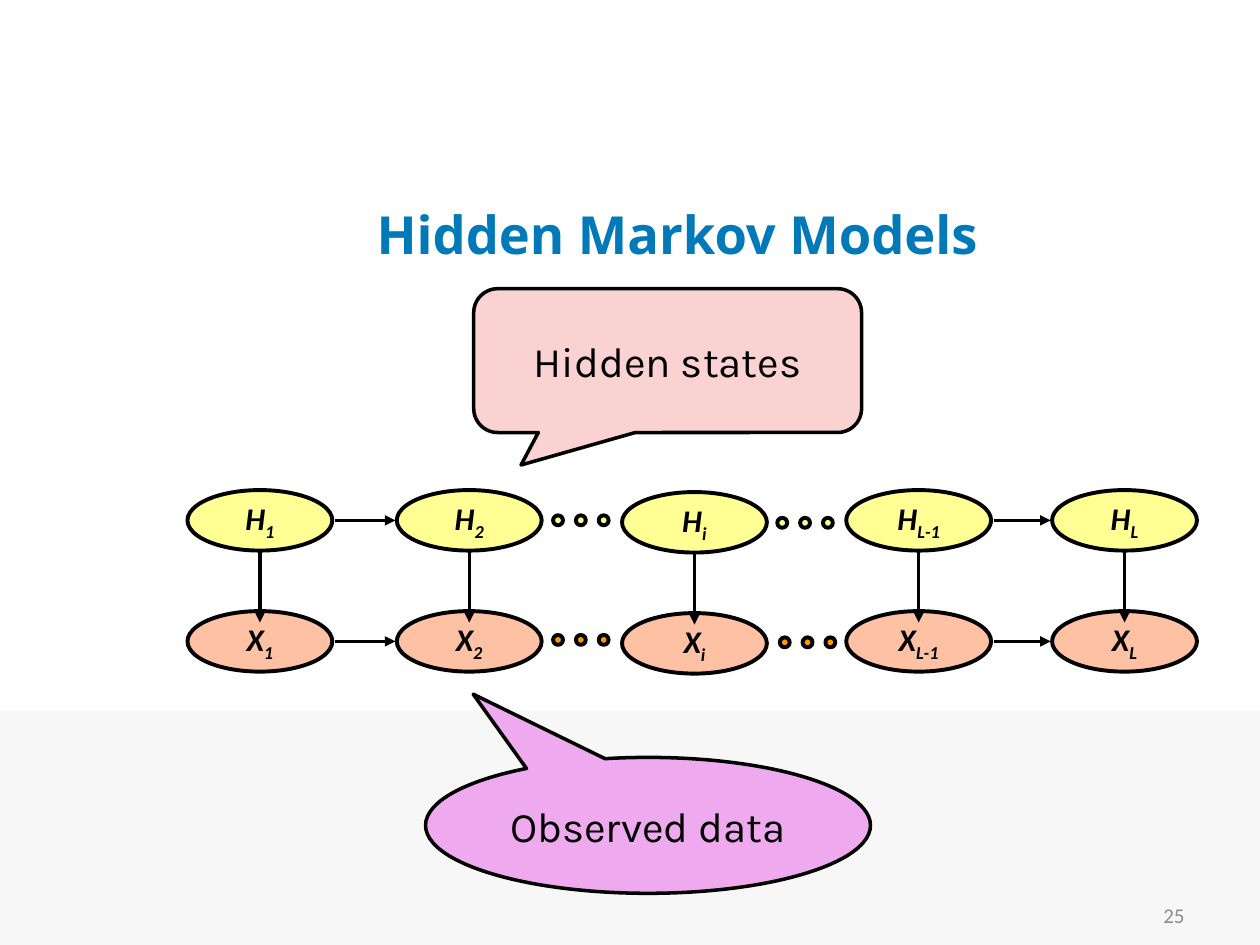
from dataclasses import dataclass

from lxml.etree import SubElement
from pptx import Presentation
from pptx.dml.color import RGBColor
from pptx.enum.shapes import MSO_CONNECTOR as CONN, MSO_SHAPE as SHAPE
from pptx.enum.text import MSO_ANCHOR as ANCHOR, PP_ALIGN as ALIGN
from pptx.oxml.ns import qn
from pptx.util import Cm, Pt


@dataclass(frozen=True)
class Theme:
    title: str = "0079B8"
    band: str = "F7F7F7"
    ink: str = "000000"
    number: str = "8C8C8C"
    hidden: str = "FFFF66"
    observed: str = "FF9966"
    observed_dot: str = "FF9900"
    hidden_note: str = "FAD2D2"
    observed_note: str = "EFA9EF"
    title_font: str = "Open Sans"
    node_font: str = "Calibri"
    note_font: str = "Karla"
    title_size: int = 30
    note_size: int = 24
    node_size: int = 18
    number_size: int = 12
    node_line: float = 2.25
    line: float = 2


@dataclass(frozen=True)
class Box:
    left: float
    top: float
    width: float
    height: float

    def emu(self):
        return [Cm(v) for v in (self.left, self.top, self.width, self.height)]


T = Theme()
NODE_W, NODE_H = 2.92, 1.22
DOT, DOT_STEP = 0.2, 0.46
# State index -> (left offset, top offset) of its node inside a chain
STATES = {"1": (0, 0), "2": (4.22, 0), "i": (8.76, 0.04),
          "L-1": (13.28, 0), "L": (17.43, 0)}
LINKS = [("1", "2"), ("L-1", "L")]


def style_font(font, name, size, color, bold=False, italic=False):
    font.name, font.size = name, Pt(size)
    font.bold, font.italic = bold, italic
    font.color.rgb = RGBColor.from_string(color)


def add_shape(slide, kind, box, fill, line=None, alpha=100):
    s = slide.shapes.add_shape(kind, *box.emu())
    s.shadow.inherit = False
    s.fill.solid()
    s.fill.fore_color.rgb = RGBColor.from_string(fill)
    if alpha < 100:
        color = s.fill._xPr.find(".//" + qn("a:srgbClr"))
        SubElement(color, qn("a:alpha"), val=str(alpha * 1000))
    if line:
        s.line.color.rgb = RGBColor.from_string(T.ink)
        s.line.width = Pt(line)
    else:
        s.line.fill.background()
    return s


def add_arrow(slide, x1, y1, x2, y2):
    c = slide.shapes.add_connector(CONN.STRAIGHT, Cm(x1), Cm(y1), Cm(x2), Cm(y2))
    c.line.color.rgb = RGBColor.from_string(T.ink)
    c.line.width = Pt(T.line)
    SubElement(c.line._get_or_add_ln(), qn("a:tailEnd"), type="triangle")
    SubElement(c._element.spPr, qn("a:effectLst"))


def add_node(slide, box, letter, index, fill, alpha):
    s = add_shape(slide, SHAPE.OVAL, box, fill, T.node_line, alpha)
    tf = s.text_frame
    tf.word_wrap = False
    tf.vertical_anchor = ANCHOR.MIDDLE
    p = tf.paragraphs[0]
    p.alignment = ALIGN.CENTER
    style_font(p.font, T.node_font, T.node_size, T.ink, bold=True, italic=True)
    p.add_run().text = letter
    r = p.add_run()
    r.text = index
    r.font._element.set("baseline", "-25000")


def add_chain(slide, box, letter, fill, alpha):
    """One row of state nodes."""
    for index, (dx, dy) in STATES.items():
        node = Box(box.left + dx, box.top + dy, NODE_W, NODE_H)
        add_node(slide, node, letter, index, fill, alpha)


def add_links(slide, box):
    """Arrows between neighbouring states of a chain."""
    y = box.top + NODE_H / 2
    for start, end in LINKS:
        add_arrow(slide, box.left + STATES[start][0] + NODE_W + 0.05, y,
                  box.left + STATES[end][0] - 0.03, y)


def add_emissions(slide, box):
    """Arrows from each hidden state down to its observation."""
    for dx, dy in STATES.values():
        x, y = box.left + dx + NODE_W / 2, box.top + dy + NODE_H
        add_arrow(slide, x, y, x, y + 1.45)


def add_ellipsis(slide, box, fill, alpha=100):
    for i in range(3):
        dot = Box(box.left + i * DOT_STEP, box.top, DOT, DOT)
        add_shape(slide, SHAPE.OVAL, dot, fill, T.node_line, alpha)


def add_callout(slide, kind, box, text, fill, adjustments):
    s = add_shape(slide, kind, box, fill, T.line)
    for i, value in enumerate(adjustments):
        s.adjustments[i] = value
    tf = s.text_frame
    tf.word_wrap = True
    tf.vertical_anchor = ANCHOR.MIDDLE
    p = tf.paragraphs[0]
    p.text, p.alignment = text, ALIGN.CENTER
    style_font(p.font, T.note_font, T.note_size, T.ink)


def add_title(slide, box, text):
    s = slide.shapes.title
    s.left, s.top, s.width, s.height = box.emu()
    tf = s.text_frame
    tf.vertical_anchor = ANCHOR.MIDDLE
    p = tf.paragraphs[0]
    p.text, p.alignment = text, ALIGN.CENTER
    style_font(p.font, T.title_font, T.title_size, T.title, bold=True)


def add_page_number(slide, box, text):
    tf = slide.shapes.add_textbox(*box.emu()).text_frame
    tf.word_wrap = True
    tf.vertical_anchor = ANCHOR.MIDDLE
    p = tf.paragraphs[0]
    p.text, p.alignment = text, ALIGN.RIGHT
    style_font(p.font, T.node_font, T.number_size, T.number)


def add_model(slide, box):
    """Two chains, their callouts and the arrows that join them."""
    hidden = Box(box.left, box.top, box.width, NODE_H)
    observed = Box(box.left, box.top + 2.44, box.width, NODE_H)

    add_chain(slide, observed, "X", T.observed, 60)
    add_callout(slide, SHAPE.ROUNDED_RECTANGULAR_CALLOUT,
                Box(box.left + 5.77, box.top - 4.06, 7.82, 2.9),
                "Hidden states", T.hidden_note, (-0.378, 0.726, 0.167))
    add_callout(slide, SHAPE.OVAL_CALLOUT,
                Box(box.left + 4.8, box.top + 5.39, 8.97, 2.74),
                "Observed data", T.observed_note, (-0.393, -0.966))
    for dx, dy in [(7.37, 0.48), (11.94, 0.53)]:
        add_ellipsis(slide, Box(box.left + dx, observed.top + dy, 1.12, DOT),
                     T.observed_dot)

    add_chain(slide, hidden, "H", T.hidden, 70)
    for dx, dy in [(7.37, 0.51), (11.89, 0.56)]:
        add_ellipsis(slide, Box(box.left + dx, hidden.top + dy, 1.12, DOT),
                     T.hidden, 70)
    add_emissions(slide, hidden)
    for chain in (hidden, observed):
        add_links(slide, chain)


def main():
    prs = Presentation()
    prs.slide_width, prs.slide_height = Cm(25.4), Cm(19.05)
    slide = prs.slides.add_slide(prs.slide_layouts[5])
    add_shape(slide, SHAPE.RECTANGLE, Box(0, 14.33, 25.4, 4.72), T.band)
    add_title(slide, Box(3.18, 3.81, 20.95, 1.78), "Hidden Markov Models")
    add_page_number(slide, Box(18.21, 17.93, 5.92, 1.02), "25")
    add_model(slide, Box(3.78, 9.88, 20.35, 3.66))
    prs.save("out.pptx")


if __name__ == "__main__":
    main()
